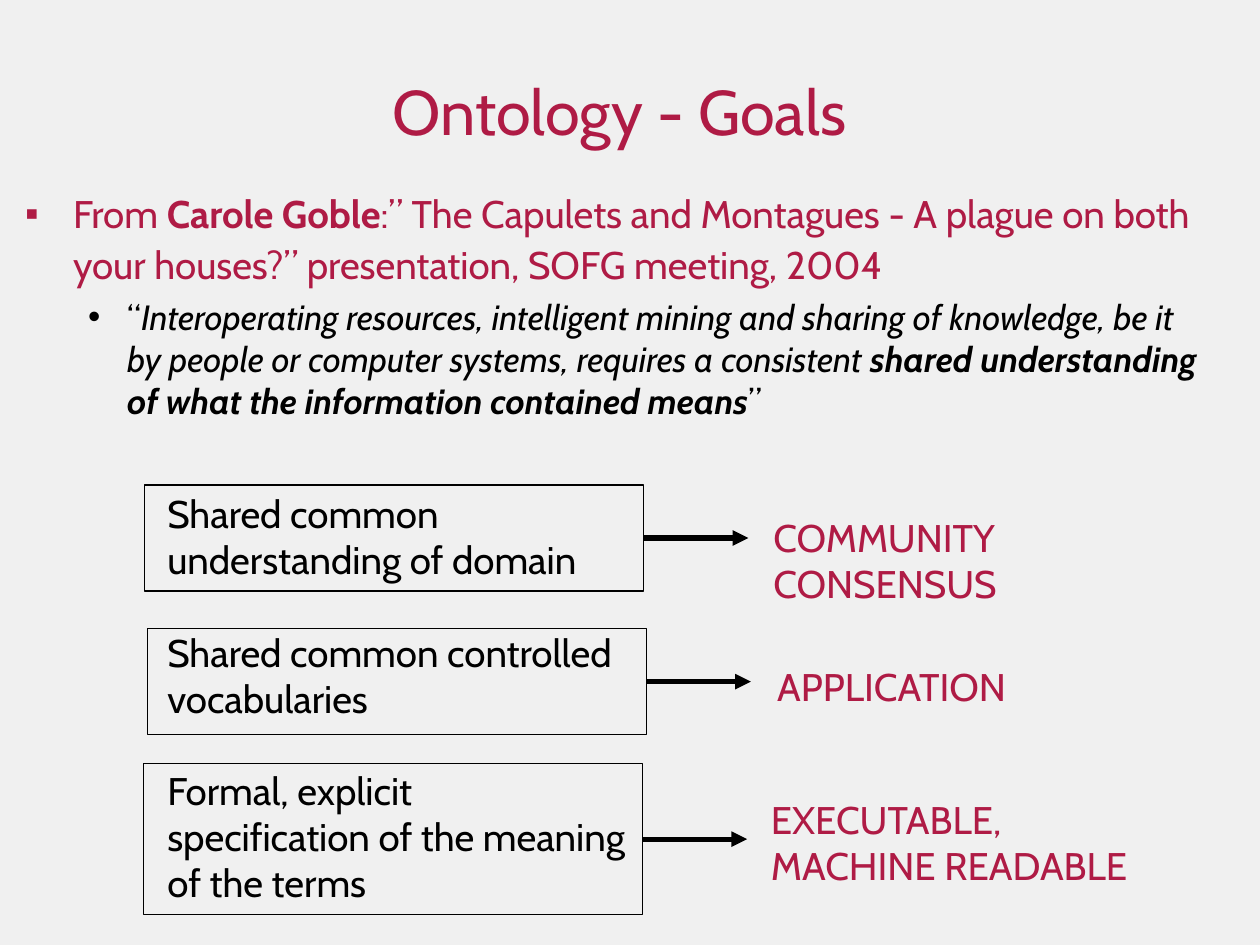
import pptx
import pptx.dml.color
import pptx.enum.shapes
import pptx.enum.text
import pptx.oxml
import pptx.oxml.ns
import pptx.util

CRIMSON = pptx.dml.color.RGBColor(0xAF, 0x1B, 0x45)
BLACK = pptx.dml.color.RGBColor(0, 0, 0)
PALE = pptx.dml.color.RGBColor(0xF0, 0xF0, 0xF0)
FONT = "Cabin"
WIDTH, HEIGHT = 10, 7.5
LINE_GAP = 26.4
ARROW = 0.83


def inches(*lengths):
    """Convert several lengths to inches."""
    return [pptx.util.Inches(length) for length in lengths]


def add_element(parent, tag, **attributes):
    """Append a drawing element with its attributes."""
    element = pptx.oxml.parse_xml(f"<a:{tag} {pptx.oxml.ns.nsdecls('a')}/>")
    for name, value in attributes.items():
        element.set(name, str(value))
    parent.append(element)
    return element


def add_span(para, text, size=22, color=BLACK, bold=False, italic=False):
    """Add a formatted run of text to a paragraph."""
    span = para.add_run()
    span.text = text
    font = span.font
    font.name, font.size = FONT, pptx.util.Pt(size)
    font.bold, font.italic = bold, italic
    font.color.rgb = color


def set_bullet(para, character, color, margin, hanging):
    """Give a paragraph a coloured bullet and a hanging indent."""
    properties = para._p.get_or_add_pPr()
    properties.set("marL", str(pptx.util.Inches(margin)))
    properties.set("indent", str(-pptx.util.Inches(hanging)))
    add_element(add_element(properties, "buClr"), "srgbClr", val=color)
    add_element(properties, "buFont", typeface="Arial")
    add_element(properties, "buChar", char=character)


def place(shape, left, top, width, height):
    """Move and size a shape."""
    shape.left, shape.top, shape.width, shape.height = inches(left, top, width, height)


def fill_title(title, text):
    """Place and write the slide title."""
    place(title, 0.33, 0.25, 9.17, 1.25)
    frame = title.text_frame
    frame.auto_size = pptx.enum.text.MSO_AUTO_SIZE.NONE
    frame.vertical_anchor = pptx.enum.text.MSO_ANCHOR.MIDDLE
    para = frame.paragraphs[0]
    para.alignment = pptx.enum.text.PP_ALIGN.CENTER
    add_span(para, text, size=36, color=CRIMSON)


def fill_body(body):
    """Write the source of the quotation and the quotation itself."""
    place(body, 0.1, 1.42, 9.62, 2.41)
    frame = body.text_frame
    frame.auto_size = pptx.enum.text.MSO_AUTO_SIZE.NONE
    frame.vertical_anchor = pptx.enum.text.MSO_ANCHOR.TOP
    source = frame.paragraphs[0]
    set_bullet(source, "▪", CRIMSON, 0.38, 0.38)
    source.line_spacing, source.space_before = 1.1, pptx.util.Pt(0)
    add_span(source, "From ", color=CRIMSON)
    add_span(source, "Carole Goble", color=CRIMSON, bold=True)
    add_span(source, ":” The Capulets and Montagues - A plague on both your houses?” "
             "presentation, SOFG meeting, 2004", color=CRIMSON)
    quote = frame.add_paragraph()
    quote.level = 1
    set_bullet(quote, "•", BLACK, 0.81, 0.31)
    quote.space_before = pptx.util.Pt(5)
    add_span(quote, "“", size=20)
    add_span(quote, "Interoperating resources, intelligent mining and sharing of knowledge, "
             "be it by people or computer systems, requires a consistent ", size=20, italic=True)
    add_span(quote, "shared understanding of what the information contained means",
             size=20, bold=True, italic=True)
    add_span(quote, "”", size=20)


def add_text(page, lines, left, top, width, height, color=BLACK, wrap=False, gaps=()):
    """Add a text box, with extra space before the lines numbered in gaps."""
    box = page.shapes.add_textbox(*inches(left, top, width, height))
    frame = box.text_frame
    frame.word_wrap = wrap
    for number, line in enumerate(lines):
        para = frame.add_paragraph() if number else frame.paragraphs[0]
        if number in gaps:
            para.space_before = pptx.util.Pt(LINE_GAP)
        add_span(para, line, color=color)


def add_frame(page, left, top, width, height):
    """Add an outlined, unfilled rectangle."""
    frame = page.shapes.add_shape(
        pptx.enum.shapes.MSO_SHAPE.RECTANGLE, *inches(left, top, width, height))
    frame.shadow.inherit = False
    frame.fill.background()
    frame.line.color.rgb = BLACK
    frame.line.width = pptx.util.Pt(0.75)
    return frame


def add_arrow(page, frame):
    """Add an arrow that leaves the right side of a frame."""
    start = frame.left + frame.width
    middle = frame.top + frame.height // 2
    arrow = page.shapes.add_connector(
        pptx.enum.shapes.MSO_CONNECTOR.STRAIGHT,
        start, middle, start + pptx.util.Inches(ARROW), middle)
    arrow.begin_connect(frame, 3)
    arrow.line.color.rgb = BLACK
    arrow.line.width = pptx.util.Pt(3)
    add_element(arrow.line._get_or_add_ln(), "tailEnd", type="triangle")
    add_element(arrow._element.spPr, "effectLst")


def main():
    """Build the slide and save it."""
    deck = pptx.Presentation()
    deck.slide_width, deck.slide_height = inches(WIDTH, HEIGHT)
    page = deck.slides.add_slide(deck.slide_layouts[1])
    page.background.fill.solid()
    page.background.fill.fore_color.rgb = PALE
    fill_title(page.shapes.title, "Ontology - Goals")
    fill_body(page.placeholders[1])
    goals = ["Shared common understanding of domain", "Shared common controlled vocabularies",
             "Formal, explicit", "specification of the meaning of the terms"]
    add_text(page, goals, 1.23, 3.84, 3.94, 3.4, wrap=True, gaps=(1, 2))
    outcomes = [
        (["COMMUNITY", "CONSENSUS"], (6.04, 4.03, 2.08, 0.84), (1.15, 3.85, 3.96, 0.84)),
        (["APPLICATION"], (6.07, 5.21, 2.16, 0.47), (1.17, 4.99, 3.96, 0.84)),
        (["EXECUTABLE,", "MACHINE READABLE"], (6.02, 6.27, 3.17, 0.84), (1.14, 6.06, 3.96, 1.2)),
    ]
    for lines, label_area, frame_area in outcomes:
        add_text(page, lines, *label_area, color=CRIMSON)
        add_arrow(page, add_frame(page, *frame_area))
    deck.save("out.pptx")


if __name__ == "__main__":
    main()
